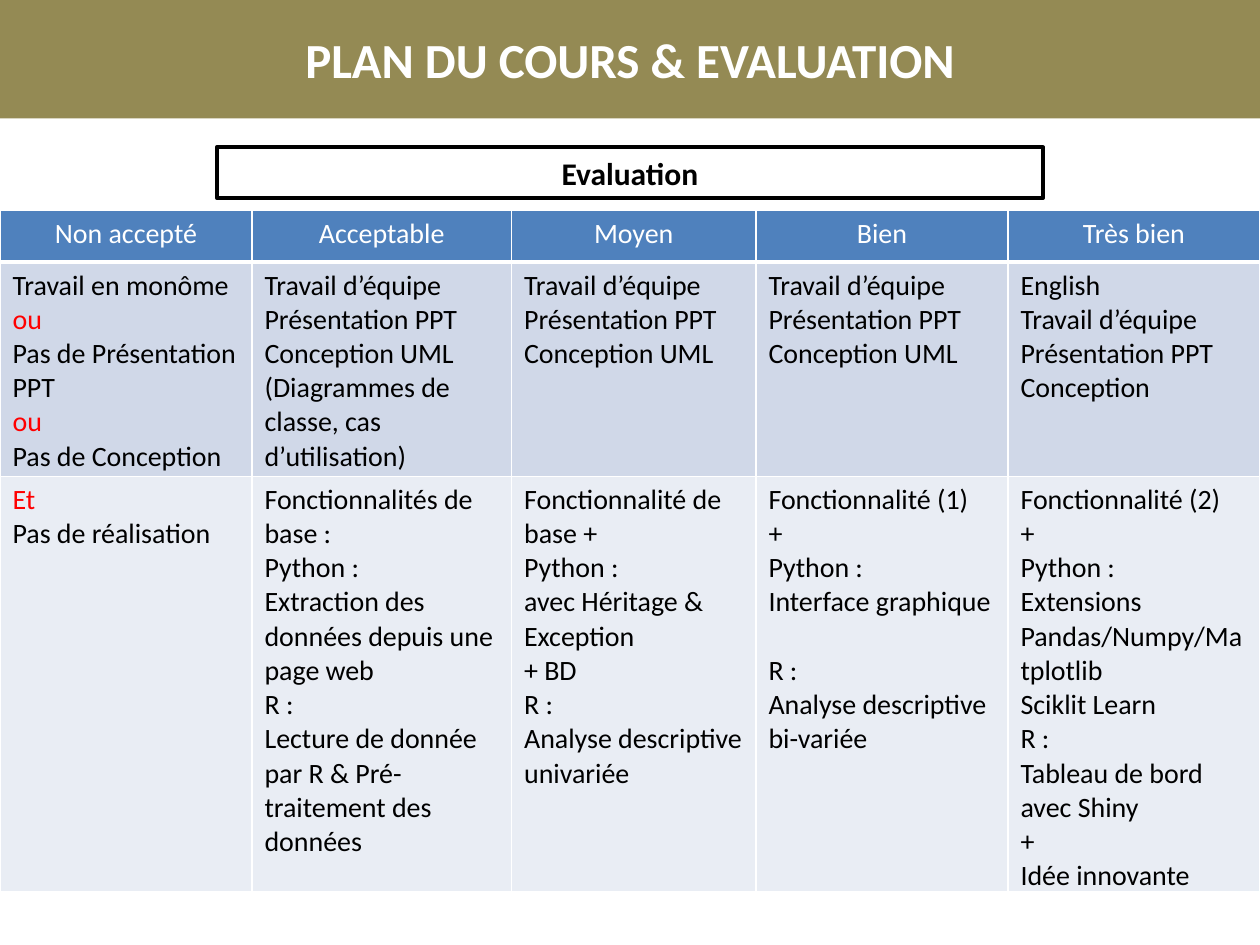
from pptx import Presentation
from pptx.dml.color import RGBColor
from pptx.enum.text import MSO_ANCHOR, MSO_AUTO_SIZE, PP_ALIGN
from pptx.oxml.ns import qn
from pptx.util import Inches, Pt
from lxml import etree

CENTER, LEFT = PP_ALIGN.CENTER, PP_ALIGN.LEFT
MIDDLE = MSO_ANCHOR.MIDDLE
NO_FIT, GROW = MSO_AUTO_SIZE.NONE, MSO_AUTO_SIZE.SHAPE_TO_FIT_TEXT
TITLE_ONLY = 5

WHITE = RGBColor(0xFF, 0xFF, 0xFF)
BLACK = RGBColor(0x00, 0x00, 0x00)
RED = RGBColor(0xFF, 0x00, 0x00)
OLIVE = RGBColor(0x94, 0x8A, 0x54)
BLUE = RGBColor(0x4F, 0x81, 0xBD)
LIGHT_BLUE = RGBColor(0xD0, 0xD8, 0xE8)
PALE_BLUE = RGBColor(0xE9, 0xED, 0xF4)

LINE_GAP = Pt(19.5)
TEAM = ["Travail d’équipe", "Présentation PPT"]
DESIGN = "Conception UML"
PYTHON, R = "Python : ", "R : "

HEADINGS = ["Non accepté", "Acceptable", "Moyen", "Bien", "Très bien"]
TEAMWORK = [
    [[("Travail en monôme ", BLACK), ("ou ", RED)], "Pas de Présentation PPT",
     [("ou", RED)], "Pas de Conception"],
    TEAM + [DESIGN + " (Diagrammes de classe, cas d’utilisation)"],
    TEAM + [DESIGN],
    TEAM + [DESIGN],
    ["English"] + TEAM + ["Conception"],
]
FEATURES = [
    [[("Et ", RED)], "Pas de réalisation"],
    ["Fonctionnalités de base : ", PYTHON,
     "Extraction des données depuis une page web ", R,
     "Lecture de donnée par R & Pré-traitement des données"],
    ["Fonctionnalité de base + ", PYTHON, "avec Héritage & Exception", "+ BD", R,
     "Analyse descriptive univariée"],
    ["Fonctionnalité (1)", "+", PYTHON, "Interface graphique", R,
     "Analyse descriptive bi-variée"],
    ["Fonctionnalité (2)", "+", PYTHON, "Extensions Pandas/Numpy/Matplotlib",
     "Sciklit Learn", R, "Tableau de bord avec Shiny", "+", "Idée innovante"],
]
ROWS = [
    (0.41, BLUE, WHITE, CENTER, [[heading] for heading in HEADINGS]),
    (1.7, LIGHT_BLUE, BLACK, LEFT, TEAMWORK),
    (3.3, PALE_BLUE, BLACK, LEFT, FEATURES),
]


class SlideBuilder:
    """Holds the text style and the current slide."""

    font = "Calibri"

    def __init__(self, slide):
        self.slide = slide

    def add_text(self, frame, lines, size, color, align, bold=False):
        for index, line in enumerate(lines):
            paragraph = frame.paragraphs[0] if index == 0 else frame.add_paragraph()
            paragraph.alignment = align
            for text, run_color in [(line, color)] if isinstance(line, str) else line:
                run = paragraph.add_run()
                run.text = text
                run.font.name = self.font
                run.font.size = Pt(size)
                run.font.bold = bold
                run.font.color.rgb = run_color

    def title(self, text, height, fill):
        shape = self.slide.shapes.title
        shape.left, shape.top = Inches(0), Inches(0)
        shape.width, shape.height = Inches(10), Inches(height)
        shape.fill.solid()
        shape.fill.fore_color.rgb = fill
        frame = shape.text_frame
        frame.auto_size = NO_FIT
        frame.vertical_anchor = MIDDLE
        self.add_text(frame, [text], 28, WHITE, CENTER, True)

    def framed_text(self, text, left, top, width, height):
        shape = self.slide.shapes.add_textbox(
            Inches(left), Inches(top), Inches(width), Inches(height))
        shape.line.color.rgb = BLACK
        shape.line.width = Pt(2.25)
        frame = shape.text_frame
        frame.word_wrap = True
        frame.auto_size = GROW
        self.add_text(frame, [text], 18, BLACK, CENTER, True)

    def border(self, cell, bottom):
        properties = cell._tc.get_or_add_tcPr()
        for side, points in (("L", 1), ("R", 1), ("T", 1), ("B", bottom)):
            line = etree.SubElement(properties, qn("a:ln" + side), w=str(Pt(points)))
            fill = etree.SubElement(line, qn("a:solidFill"))
            etree.SubElement(fill, qn("a:srgbClr"), val=str(WHITE))

    def table(self, left, top, widths, rows):
        height = sum(row[0] for row in rows)
        table = self.slide.shapes.add_table(
            len(rows), len(widths), Inches(left), Inches(top),
            Inches(sum(widths)), Inches(height)).table
        for column, width in zip(table.columns, widths):
            column.width = Inches(width)
        for row_index, (row_height, fill, color, align, cells) in enumerate(rows):
            table.rows[row_index].height = Inches(row_height)
            for column_index, lines in enumerate(cells):
                cell = table.cell(row_index, column_index)
                self.border(cell, 3 if row_index == 0 else 1)
                cell.fill.solid()
                cell.fill.fore_color.rgb = fill
                self.add_text(cell.text_frame, lines, 16, color, align)
        return table


presentation = Presentation()
presentation.slide_width, presentation.slide_height = Inches(10), Inches(7.5)
layout = presentation.slide_layouts[TITLE_ONLY]
builder = SlideBuilder(presentation.slides.add_slide(layout))
builder.title("PLAN DU COURS & EVALUATION", 0.94, OLIVE)
builder.framed_text("Evaluation", 1.72, 1.17, 6.56, 0.4)
grades = builder.table(0, 1.67, [2, 2.06, 1.94, 2, 2], ROWS)
good_features = grades.cell(2, HEADINGS.index("Bien")).text_frame
good_features.paragraphs[FEATURES[3].index(R)].space_before = LINE_GAP
presentation.save("out.pptx")
